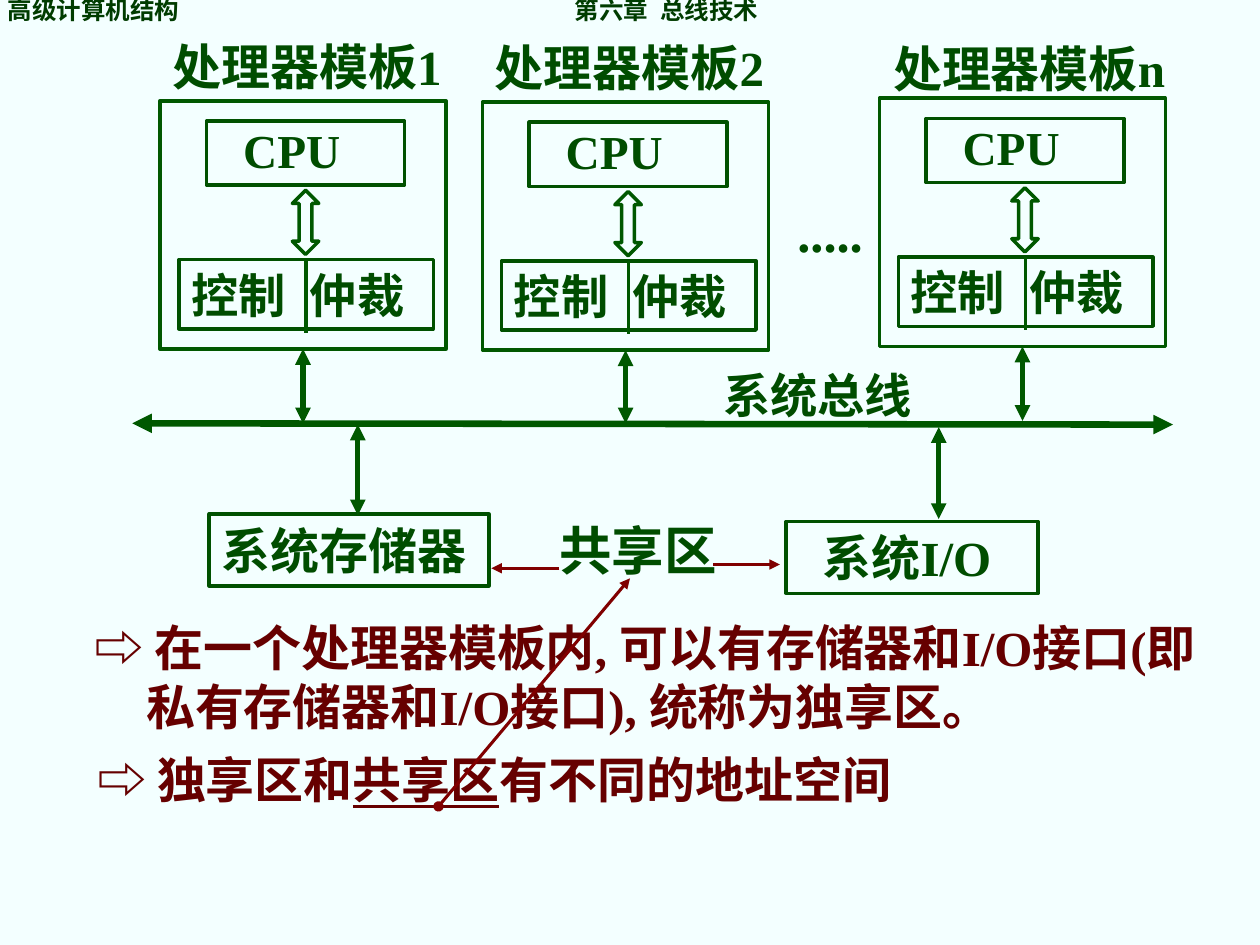
from dataclasses import dataclass

from lxml import etree
from pptx import Presentation
from pptx.dml.color import RGBColor
from pptx.enum import shapes, text
from pptx.oxml import ns
from pptx.util import Inches, Pt

BACKGROUND = RGBColor(0xF3, 0xFF, 0xFF)
LINE_GREEN = RGBColor(0x00, 0x58, 0x00)
BOX_GREEN = RGBColor(0x00, 0x51, 0x00)
TEXT_GREEN = RGBColor(0x00, 0x4D, 0x00)
HEADER_GREEN = RGBColor(0x00, 0x3C, 0x00)
NOTE_RED = RGBColor(0x66, 0x00, 0x00)
ARROW_RED = RGBColor(0x80, 0x00, 0x00)
SERIF = "Times New Roman"
HEADER_FONT = "Noto Sans CJK SC"
STORE_FONT = "Noto Sans CJK JP"


@dataclass
class Area:
    left: float
    top: float
    width: float
    height: float

    def lengths(self):
        return [Inches(n) for n in (self.left, self.top, self.width, self.height)]


@dataclass
class Label:
    words: str
    area: Area
    size: float = 28


@dataclass
class Module:
    left: float
    top: float
    title: Label
    bus_y: float


@dataclass
class Arrow:
    start: tuple[float, float]
    end: tuple[float, float]
    color: RGBColor
    width: float
    head: str = ""
    tail: str = "triangle"


MODULES = [
    Module(1.27, 0.80, Label("处理器模板1", Area(1.27, 0.24, 2.49, 0.57)), 3.36),
    Module(3.83, 0.81, Label("处理器模板2", Area(3.83, 0.25, 2.62, 0.57)), 3.36),
    Module(6.98, 0.78, Label("处理器模板n", Area(6.99, 0.26, 2.62, 0.57)), 3.34),
]
LABELS = [
    Label(".....", Area(6.23, 1.54, 0.87, 0.6), 30),
    Label("系统总线", Area(5.64, 2.86, 1.89, 0.55), 27),
    Label("共享区", Area(4.34, 4.06, 1.53, 0.6), 30),
]
ARROWS = [
    Arrow((1.05, 3.36), (9.31, 3.37), LINE_GREEN, 3.75, "triangle"),
    Arrow((2.84, 3.37), (2.84, 4.09), LINE_GREEN, 3, "triangle"),
    Arrow((7.45, 3.39), (7.45, 4.12), LINE_GREEN, 3, "triangle"),
    Arrow((3.48, 6.4), (5, 4.59), ARROW_RED, 1.75, "oval"),
    Arrow((4.44, 4.51), (3.9, 4.51), ARROW_RED, 1.75),
    Arrow((5.66, 4.48), (6.19, 4.48), ARROW_RED, 1.75),
]


def format_span(span, size: float, color: RGBColor, name: str = SERIF) -> None:
    span.font.size = Pt(size)
    span.font.bold = True
    span.font.name = name
    span.font.color.rgb = color


def add_tabs(para, stops: list[float]) -> None:
    tabs = etree.SubElement(para._p.get_or_add_pPr(), ns.qn("a:tabLst"))
    for stop in stops:
        etree.SubElement(tabs, ns.qn("a:tab"), pos=str(Inches(stop)), algn="l")


def write(box, words: str, size: float, color: RGBColor = TEXT_GREEN,
          name: str = SERIF, inset: float = 0.1):
    frame = box.text_frame
    frame.text = words
    frame.word_wrap = True
    frame.auto_size = text.MSO_AUTO_SIZE.NONE
    frame.vertical_anchor = text.MSO_ANCHOR.TOP
    frame.margin_left = Inches(inset)
    para = frame.paragraphs[0]
    para.alignment = text.PP_ALIGN.LEFT
    format_span(para.runs[0], size, color, name)
    return para


def add_label(page, label: Label) -> None:
    write(page.shapes.add_textbox(*label.area.lengths()), label.words, label.size)


def add_outline(page, area: Area, color: RGBColor = BOX_GREEN,
                kind=shapes.MSO_SHAPE.RECTANGLE):
    box = page.shapes.add_shape(kind, *area.lengths())
    box.shadow.inherit = False
    box.fill.background()
    box.line.color.rgb = color
    box.line.width = Pt(2)
    return box


def add_line(page, arrow: Arrow):
    line = page.shapes.add_connector(
        shapes.MSO_CONNECTOR.STRAIGHT,
        *[Inches(n) for n in arrow.start + arrow.end])
    line.line.color.rgb = arrow.color
    line.line.width = Pt(arrow.width)
    stroke = line.line._get_or_add_ln()
    for tag, style in (("a:headEnd", arrow.head), ("a:tailEnd", arrow.tail)):
        if style:
            etree.SubElement(stroke, ns.qn(tag), type=style)
    etree.SubElement(line._element.spPr, ns.qn("a:effectLst"))
    return line


def add_module(page, module: Module) -> None:
    left, top = module.left, module.top
    board = add_outline(page, Area(left, top, 2.27, 1.97), LINE_GREEN)
    cpu = add_outline(page, Area(left + 0.37, top + 0.16, 1.57, 0.51))
    write(cpu, "CPU", 27, inset=0.29).line_spacing = 0.9
    control = add_outline(page, Area(left + 0.15, top + 1.26, 2.02, 0.55))
    add_tabs(write(control, "控制\t仲裁", 27), [0.94])
    middle = left + 1.16
    divider = add_line(page, Arrow((middle, top + 1.26), (middle, top + 1.84),
                                   LINE_GREEN, 2, tail=""))
    divider.begin_connect(control, 0)
    link = add_outline(page, Area(left + 1.05, top + 0.71, 0.21, 0.51),
                       LINE_GREEN, shapes.MSO_SHAPE.UP_DOWN_ARROW)
    link.adjustments[0] = 0.5
    link.adjustments[1] = 0.48
    add_label(page, module.title)
    center = left + 2.27 / 2
    drop = add_line(page, Arrow((center, top + 1.97), (center, module.bus_y),
                                LINE_GREEN, 3, "triangle"))
    drop.begin_connect(board, 2)


def place(holder, area: Area) -> None:
    holder.left, holder.top, holder.width, holder.height = area.lengths()


def fill_header(holder) -> None:
    place(holder, Area(-0.04, -0.06, 10.04, 0.31))
    para = write(holder, "高级计算机结构\t第六章\t总线技术", 14, HEADER_GREEN, HEADER_FONT)
    para.line_spacing = 0.9
    add_tabs(para, [4.5, 5.18])


def fill_notes(holder) -> None:
    place(holder, Area(0.65, 4.85, 9.08, 1.63))
    first = write(holder, "⇨", 28, NOTE_RED, "Arial")
    second = holder.text_frame.add_paragraph()
    second.text = "⇨"
    format_span(second.runs[0], 28, NOTE_RED, "Arial")
    notes = [
        (first, 0.41, -0.41, 0,
         [" 在一个处理器模板内, 可以有存储器和I/O接口(即私有存储器和I/O接口), 统称为独享区。"]),
        (second, 0.02, 0, 8.5, [" 独享区和", "共享区", "有不同的地址空间"]),
    ]
    for para, margin, indent, gap, parts in notes:
        para.space_before = Pt(gap)
        layout = para._p.get_or_add_pPr()
        layout.set("marL", str(Inches(margin)))
        layout.set("indent", str(Inches(indent)))
        etree.SubElement(layout, ns.qn("a:buNone"))
        for part in parts:
            span = para.add_run()
            span.text = part
            format_span(span, 28, NOTE_RED)
            if part == "共享区":
                span.font.underline = True


def main() -> None:
    deck = Presentation()
    deck.slide_width, deck.slide_height = Inches(10), Inches(7.5)
    page = deck.slides.add_slide(deck.slide_layouts[1])
    page.background.fill.solid()
    page.background.fill.fore_color.rgb = BACKGROUND
    fill_header(page.shapes.title)
    fill_notes(page.placeholders[1])
    for module in MODULES:
        add_module(page, module)
    for label in LABELS:
        add_label(page, label)
    write(add_outline(page, Area(1.66, 4.08, 2.22, 0.57)), "系统存储器", 28, name=STORE_FONT)
    write(add_outline(page, Area(6.24, 4.14, 2, 0.57)), "系统I/O", 28, inset=0.29)
    for arrow in ARROWS:
        add_line(page, arrow)
    deck.save("out.pptx")


if __name__ == "__main__":
    main()
